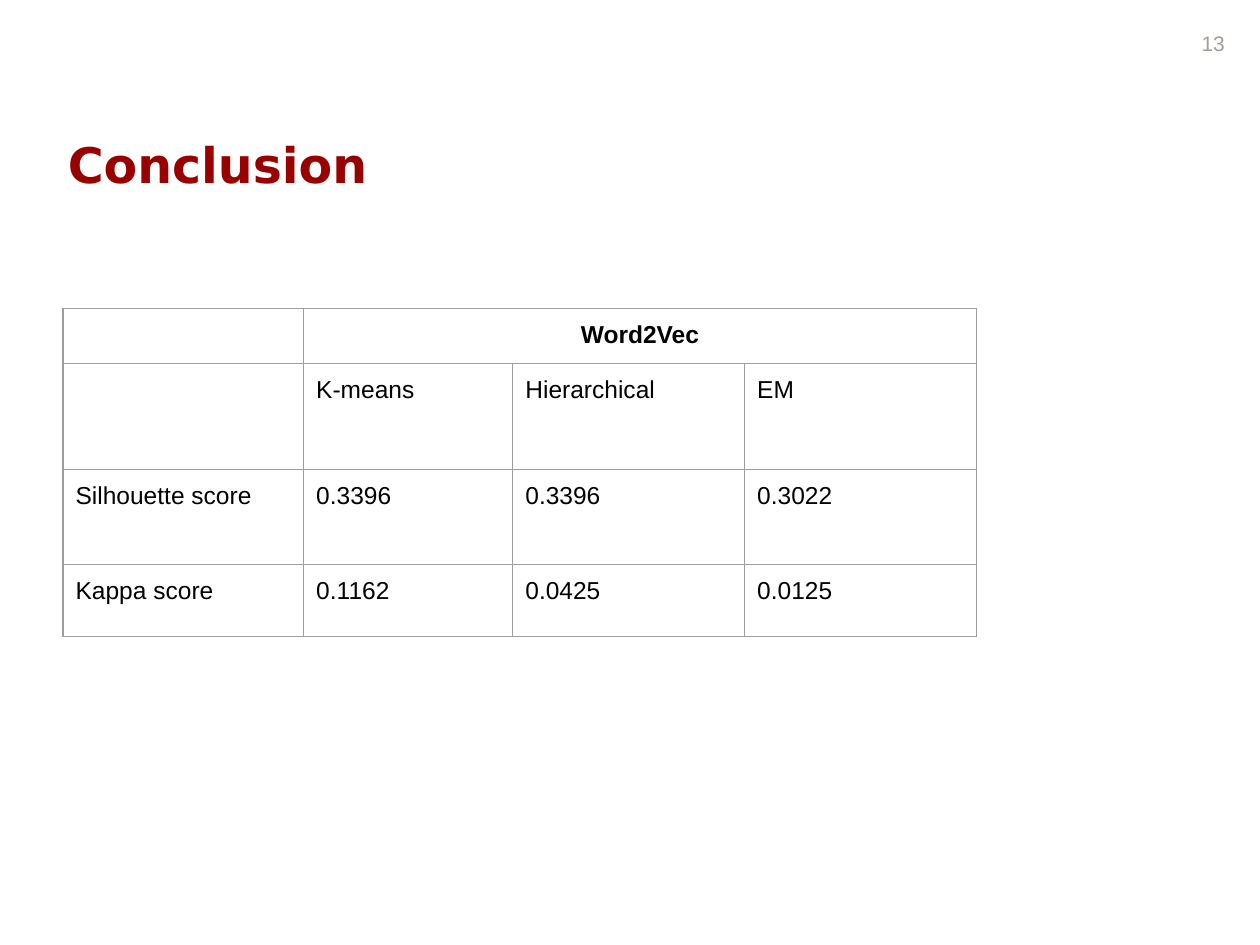
from lxml import etree
from pptx import Presentation
from pptx import util as u
from pptx.dml.color import RGBColor
from pptx.enum import text
from pptx.oxml import ns

BLACK = RGBColor(0x00, 0x00, 0x00)
DARK_RED = RGBColor(0x99, 0x00, 0x00)
TAUPE = RGBColor(0xA6, 0x9C, 0x95)
BORDER_GREY = RGBColor(0x9E, 0x9E, 0x9E)

COLUMN_WIDTHS = [1.91, 1.66, 1.84, 1.84]
ROW_HEIGHTS = [0.43, 0.84, 0.76, 0.57]
SCORES = [
    ["", "Word2Vec", "", ""],
    ["", "K-means", "Hierarchical", "EM"],
    ["Silhouette score", "0.3396", "0.3396", "0.3022"],
    ["Kappa score", "0.1162", "0.0425", "0.0125"],
]


def write(frame, words, size=14, font="Arial", color=BLACK, bold=False,
          align=text.PP_ALIGN.LEFT):
    para = frame.paragraphs[0]
    para.alignment = align
    span = para.add_run()
    span.text = words
    span.font.size = u.Pt(size)
    span.font.name = font
    span.font.color.rgb = color
    span.font.bold = bold


def outline(cell, color, width):
    """Draw all four borders of a cell; call before filling it."""
    properties = cell._tc.get_or_add_tcPr()
    for side in ("lnL", "lnR", "lnT", "lnB"):
        line = etree.SubElement(properties, ns.qn(f"a:{side}"), w=str(u.Pt(width)))
        fill = etree.SubElement(line, ns.qn("a:solidFill"))
        etree.SubElement(fill, ns.qn("a:srgbClr"), val=str(color))


class SlideBuilder:
    def __init__(self, page, border_color, border_width, padding):
        self.page = page
        self.border_color = border_color
        self.border_width = border_width
        self.padding = u.Inches(padding)

    def label(self, words, left, top, width, height, **style):
        box = self.page.shapes.add_textbox(*map(u.Inches, (left, top, width, height)))
        box.text_frame.word_wrap = True
        write(box.text_frame, words, **style)

    def table(self, rows, left, top, widths, heights):
        frame = self.page.shapes.add_table(
            len(rows), len(widths),
            *map(u.Inches, (left, top, sum(widths), sum(heights))))
        table = frame.table
        for column, width in zip(table.columns, widths):
            column.width = u.Inches(width)
        for row, height in zip(table.rows, heights):
            row.height = u.Inches(height)
        table.cell(0, 1).merge(table.cell(0, len(widths) - 1))
        for r, row in enumerate(rows):
            for c, words in enumerate(row):
                self.cell(table.cell(r, c), words, heading=r == 0)

    def cell(self, cell, words, heading):
        outline(cell, self.border_color, self.border_width)
        cell.fill.background()
        if words:
            cell.margin_left = cell.margin_right = self.padding
            cell.margin_top = cell.margin_bottom = self.padding
            align = text.PP_ALIGN.CENTER if heading else text.PP_ALIGN.LEFT
            write(cell.text_frame, words, bold=heading, align=align)


def main():
    deck = Presentation()
    deck.slide_width, deck.slide_height = u.Inches(10), u.Inches(7.5)
    page = deck.slides.add_slide(deck.slide_layouts[6])
    builder = SlideBuilder(page, BORDER_GREY, border_width=0.75, padding=0.1)
    builder.label("13", 7.49, 0.19, 2.33, 0.4, size=12, color=TAUPE,
                  align=text.PP_ALIGN.RIGHT)
    builder.table(SCORES, 0.5, 2.45, COLUMN_WIDTHS, ROW_HEIGHTS)
    builder.label("Conclusion", 0.44, 1.02, 2.63, 0.57, size=28,
                  font="DejaVu Sans", color=DARK_RED, bold=True)
    deck.save("out.pptx")


if __name__ == "__main__":
    main()
